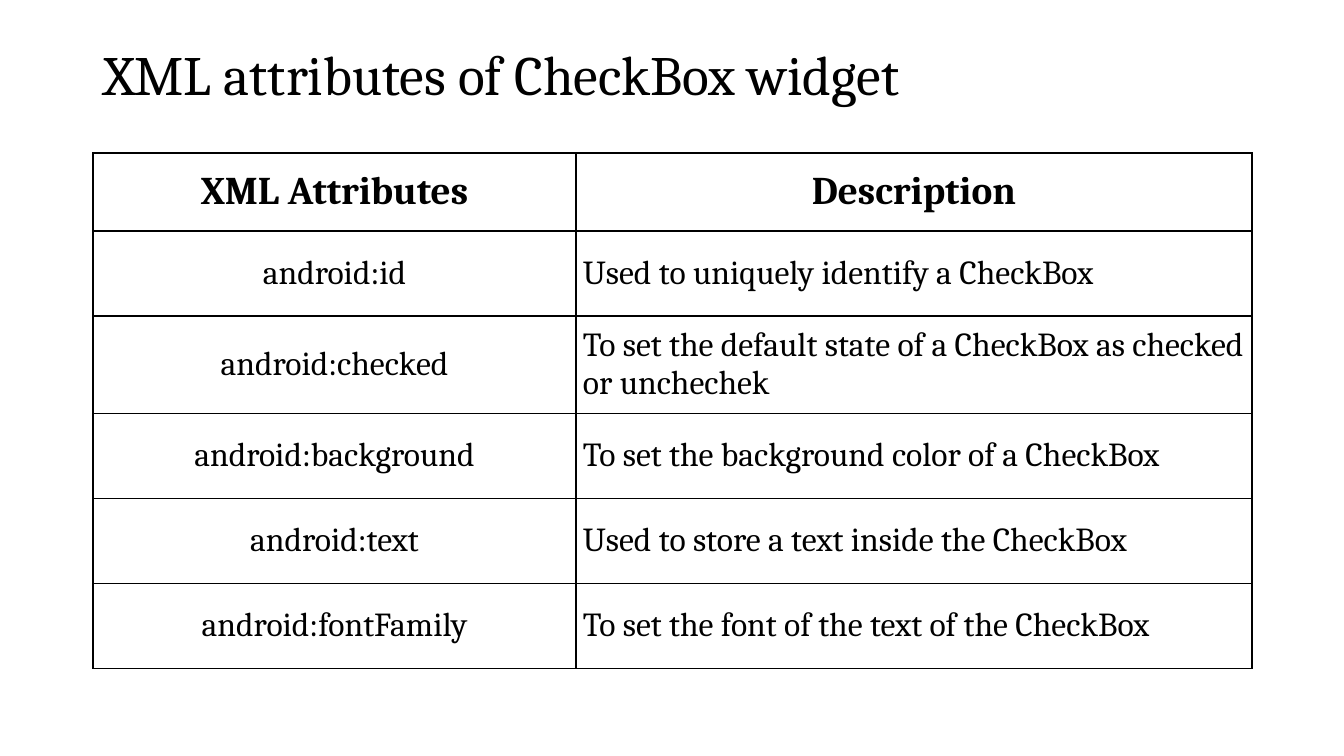
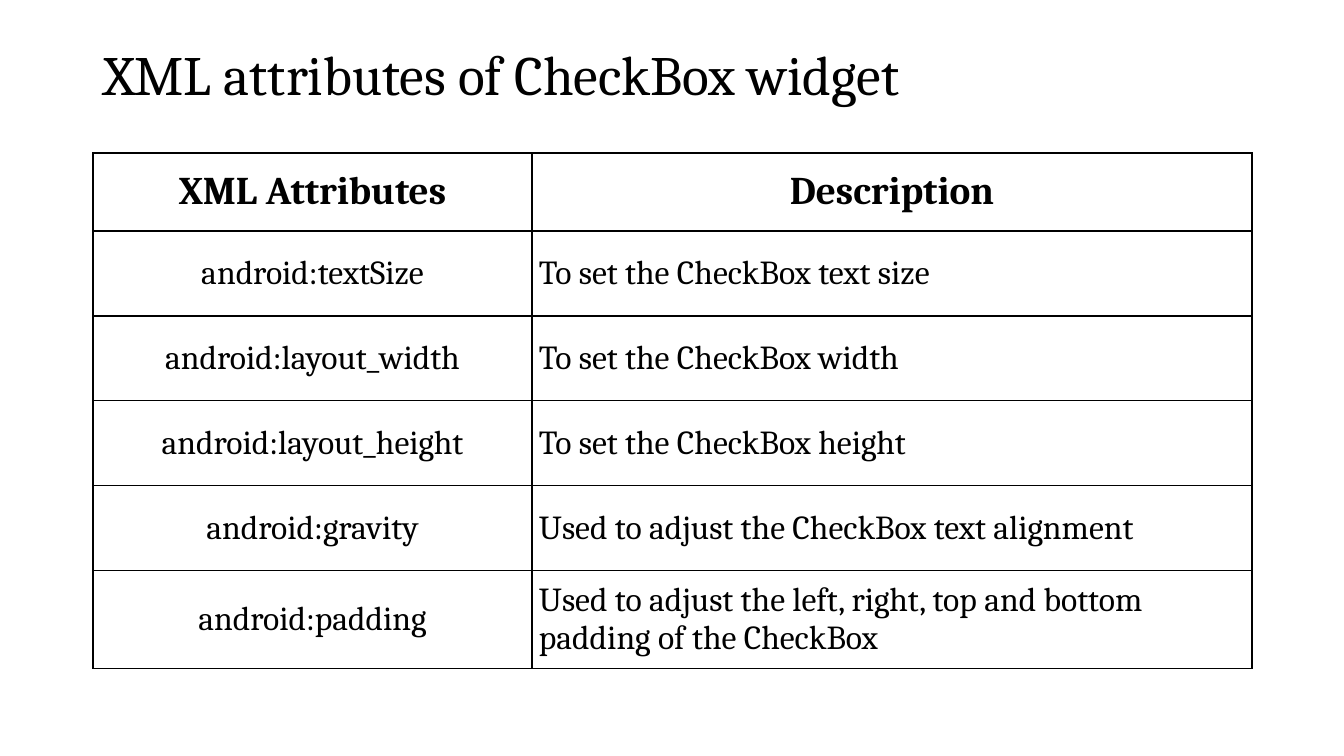
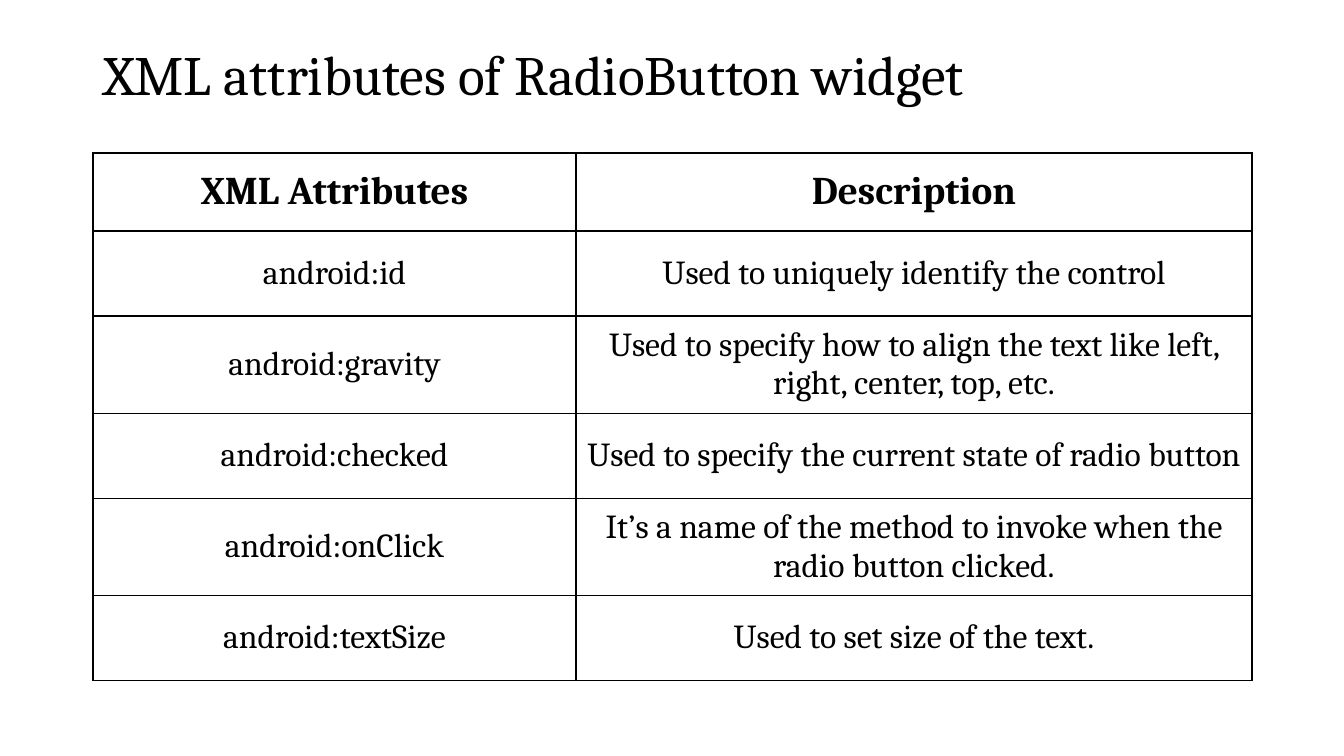
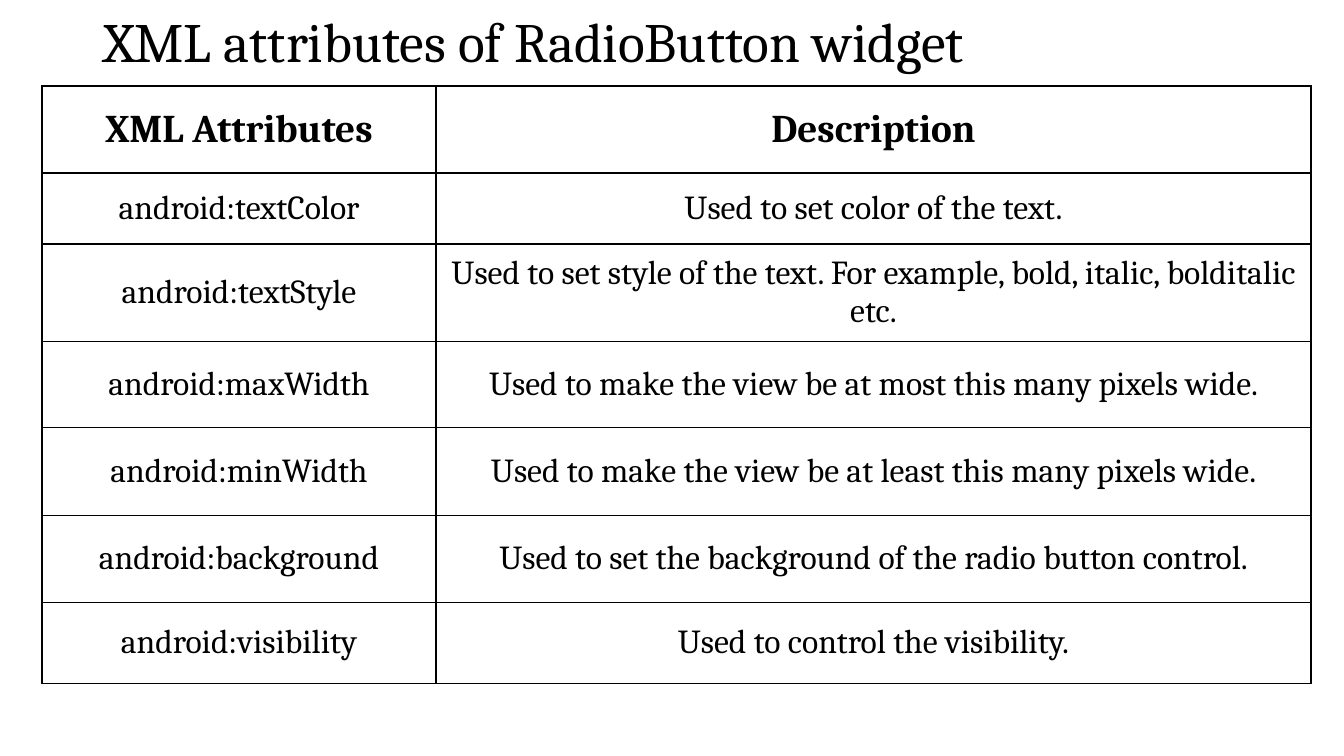
from collections import namedtuple
from dataclasses import dataclass

from lxml.etree import SubElement
from pptx import Presentation
from pptx.dml.color import RGBColor
from pptx.enum.text import MSO_ANCHOR, MSO_AUTO_SIZE, PP_ALIGN
from pptx.oxml.ns import qn
from pptx.util import Emu, Pt

SLIDE_WIDTH, SLIDE_HEIGHT = 1344, 756
EMU_PER_PX = 12192000 / SLIDE_WIDTH
TITLE_ONLY = 5
LEFT, CENTER = PP_ALIGN.LEFT, PP_ALIGN.CENTER

Box = namedtuple("Box", "left top width height")
Insets = namedtuple("Insets", "x y")


@dataclass(frozen=True)
class Theme:
    font: str = "Cambria"
    ink: str = "000000"
    paper: str = "FFFFFF"
    title_size: float = 39.6
    header_size: int = 28
    body_size: int = 24
    border_width: int = 1


@dataclass(frozen=True)
class AttributePage:
    title: str
    rows: tuple
    name_width: int
    table_box: Box
    title_box: Box = Box(93, 40, 1159, 75)
    row_heights: tuple = (78,) + (85,) * 5
    description_align: PP_ALIGN = LEFT


THEME = Theme()
HEADER = ("XML Attributes", "Description")
NAME_HEADER_INSETS, HEADER_INSETS, BODY_INSETS = Insets(4, 7), Insets(7, 7), Insets(7, 10)

PAGES = (
    AttributePage(
        "XML attributes of CheckBox widget",
        (
            ("android:id", "Used to uniquely identify a CheckBox"),
            ("android:checked", "To set the default state of a CheckBox as checked or unchechek"),
            ("android:background", "To set the background color of a CheckBox"),
            ("android:text", "Used to store a text inside the CheckBox"),
            ("android:fontFamily", "To set the font of the text of the CheckBox"),
        ),
        name_width=483,
        table_box=Box(93, 153, 1159, 519),
    ),
    AttributePage(
        "XML attributes of CheckBox widget",
        (
            ("android:textSize", "To set the CheckBox text size"),
            ("android:layout_width", "To set the CheckBox width"),
            ("android:layout_height", "To set the CheckBox height"),
            ("android:gravity", "Used to adjust the CheckBox text alignment"),
            ("android:padding",
             "Used to adjust the left, right, top and bottom padding of the CheckBox"),
        ),
        name_width=439,
        table_box=Box(93, 153, 1159, 519),
    ),
    AttributePage(
        "XML attributes of RadioButton widget",
        (
            ("android:id", "Used to uniquely identify the control"),
            ("android:gravity",
             "Used to specify how to align the text like left, right, center, top, etc."),
            ("android:checked", "Used to specify the current state of radio button"),
            ("android:onClick",
             "It’s a name of the method to invoke when the radio button clicked."),
            ("android:textSize", "Used to set size of the text."),
        ),
        name_width=483,
        table_box=Box(93, 153, 1159, 549),
        description_align=CENTER,
    ),
    AttributePage(
        "XML attributes of RadioButton widget",
        (
            ("android:textColor", "Used to set color of the text."),
            ("android:textStyle",
             "Used to set style of the text. For example, bold, italic, bolditalic etc."),
            ("android:maxWidth", "Used to make the view be at most this many pixels wide."),
            ("android:minWidth", "Used to make the view be at least this many pixels wide."),
            ("android:background", "Used to set the background of the radio button control."),
            ("android:visibility", "Used to control the visibility."),
        ),
        name_width=394,
        table_box=Box(42, 86, 1269, 599),
        title_box=Box(93, 10, 1159, 69),
        row_heights=(87, 71, 96, 86, 88, 87, 81),
        description_align=CENTER,
    ),
)


def px(length):
    return Emu(round(length * EMU_PER_PX))


def write(frame, text, *, size, bold=False, align=LEFT, line_spacing=None):
    frame.word_wrap = True
    para = frame.paragraphs[0]
    para.alignment = align
    if line_spacing:
        para.line_spacing = line_spacing
    span = para.add_run()
    span.text = text
    span.font.name = THEME.font
    span.font.size = Pt(size)
    span.font.bold = bold
    span.font.color.rgb = RGBColor.from_string(THEME.ink)


def add_borders(cell):
    """Draw all four sides; call before filling, since lines precede the fill in the XML."""
    properties = cell._tc.get_or_add_tcPr()
    for side in ("a:lnL", "a:lnR", "a:lnT", "a:lnB"):
        line = SubElement(properties, qn(side), w=str(Pt(THEME.border_width)))
        fill = SubElement(line, qn("a:solidFill"))
        SubElement(fill, qn("a:srgbClr"), val=THEME.ink)


def format_cell(cell, text, insets, **text_format):
    add_borders(cell)
    cell.fill.solid()
    cell.fill.fore_color.rgb = RGBColor.from_string(THEME.paper)
    cell.vertical_anchor = MSO_ANCHOR.MIDDLE
    cell.margin_left = cell.margin_right = px(insets.x)
    cell.margin_top = cell.margin_bottom = px(insets.y)
    write(cell.text_frame, text, **text_format)


def place_title(page, text, box):
    title = page.shapes.title
    title.left, title.top, title.width, title.height = map(px, box)
    frame = title.text_frame
    frame.auto_size = MSO_AUTO_SIZE.NONE
    frame.vertical_anchor = MSO_ANCHOR.MIDDLE
    write(frame, text, size=THEME.title_size, line_spacing=0.9)


def add_attribute_table(page, content):
    box = content.table_box
    frame = page.shapes.add_table(len(content.rows) + 1, len(HEADER), *map(px, box))
    table = frame.table
    table.first_row = table.horz_banding = False
    for column, width in zip(table.columns, (content.name_width, box.width - content.name_width)):
        column.width = px(width)
    for row, height in zip(table.rows, content.row_heights):
        row.height = px(height)
    frame.height = px(box.height)

    for index, text in enumerate(HEADER):
        insets = HEADER_INSETS if index else NAME_HEADER_INSETS
        format_cell(table.cell(0, index), text, insets,
                    size=THEME.header_size, bold=True, align=CENTER)
    alignments = (CENTER, content.description_align)
    for row_index, texts in enumerate(content.rows, start=1):
        for index, (text, align) in enumerate(zip(texts, alignments)):
            format_cell(table.cell(row_index, index), text, BODY_INSETS,
                        size=THEME.body_size, align=align)


def add_attribute_page(deck, content):
    page = deck.slides.add_slide(deck.slide_layouts[TITLE_ONLY])
    place_title(page, content.title, content.title_box)
    add_attribute_table(page, content)


def main():
    deck = Presentation()
    deck.slide_width, deck.slide_height = px(SLIDE_WIDTH), px(SLIDE_HEIGHT)
    for content in PAGES:
        add_attribute_page(deck, content)
    deck.save("out.pptx")


if __name__ == "__main__":
    main()
